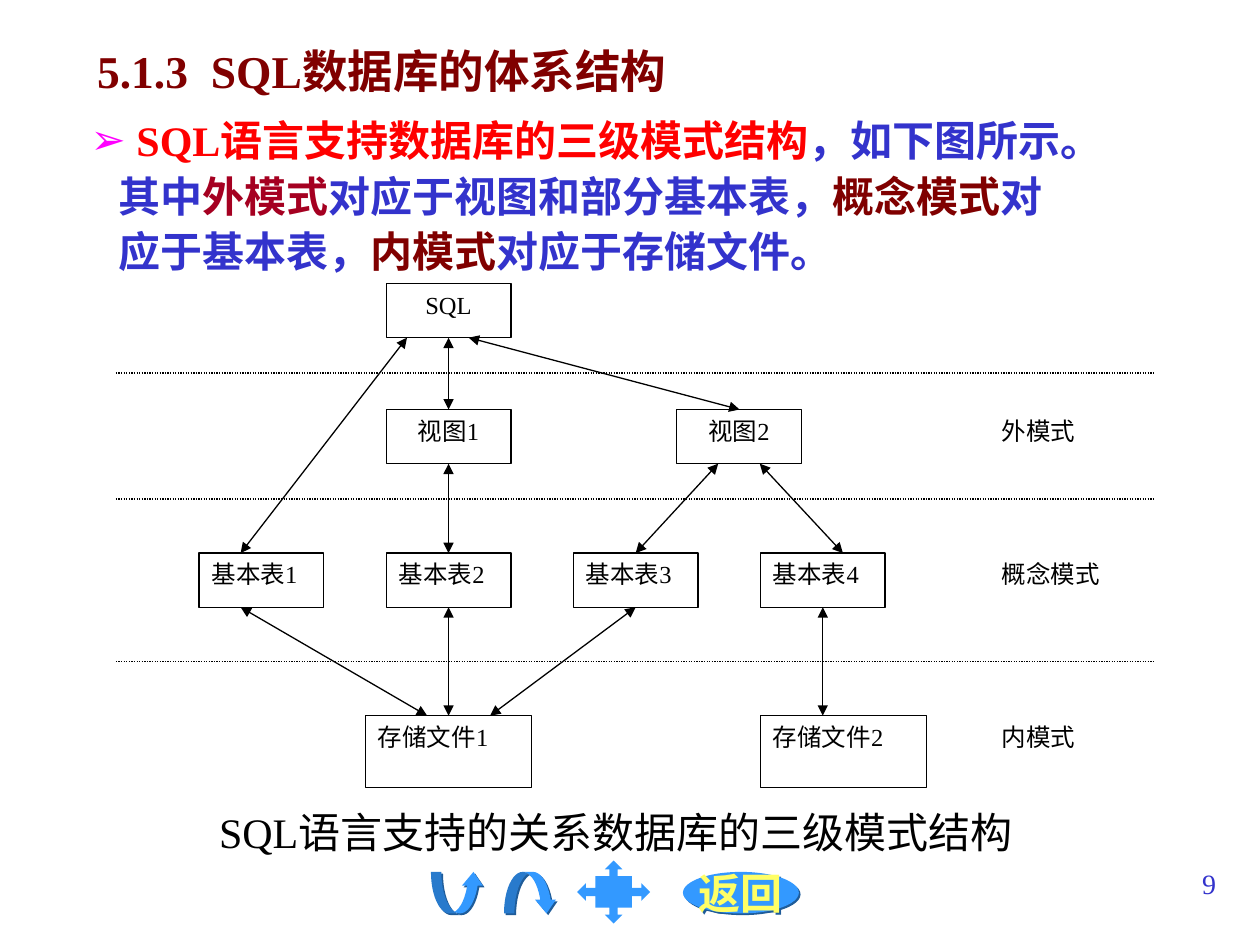
from lxml import etree
from pptx import Presentation
from pptx import util as u
from pptx.dml.color import RGBColor
from pptx.enum import dml, shapes, text
from pptx.oxml.ns import qn

HUES = {
    "ink": "000000", "paper": "FFFFFF", "blue": "3333CC", "red": "FF0000",
    "wine": "A50021", "maroon": "800000", "pink": "FF00FF",
    "sky": "3399FF", "shade": "1F5C99", "lemon": "FFFF66",
}
FONT = "Times New Roman"
KIND = shapes.MSO_SHAPE
ALIGN = text.PP_ALIGN
TOP = text.MSO_ANCHOR.TOP
MID = text.MSO_ANCHOR.MIDDLE


def hue(name):
    return RGBColor.from_string(HUES[name])


def write(frame, runs, size=14, color="ink", bold=False, align=ALIGN.LEFT,
          anchor=TOP, wrap=True, space=1.0):
    frame.auto_size = text.MSO_AUTO_SIZE.NONE
    frame.word_wrap = wrap
    frame.vertical_anchor = anchor
    frame.margin_left = frame.margin_right = u.Inches(0.1)
    frame.margin_top = frame.margin_bottom = u.Inches(0.05)
    para = frame.paragraphs[0]
    para.alignment = align
    para.space_before = u.Pt(0)
    para.line_spacing = space
    for words, tint in [(runs, color)] if isinstance(runs, str) else runs:
        run = para.add_run()
        run.text = words
        run.font.name = FONT
        run.font.size = u.Pt(size)
        run.font.bold = bold
        run.font.color.rgb = hue(tint)
    return para


class Deck:
    def __init__(self):
        self.show = Presentation()
        self.show.slide_width = u.Inches(10)
        self.show.slide_height = u.Inches(7.5)
        self.slide = self.show.slides.add_slide(self.show.slide_layouts[1])

    def place(self, item, x, y, w, h):
        item.left, item.top = u.Inches(x), u.Inches(y)
        item.width, item.height = u.Inches(w), u.Inches(h)

    def title(self, words, area, **form):
        item = self.slide.shapes.title
        self.place(item, *area)
        write(item.text_frame, words, **form)

    def body(self, runs, area, mark, tint, hang, **form):
        item = self.slide.placeholders[1]
        self.place(item, *area)
        props = item.text_frame.paragraphs[0]._p.get_or_add_pPr()
        props.set("marL", str(u.Inches(hang)))
        props.set("indent", str(-u.Inches(hang)))
        color = etree.SubElement(props, qn("a:buClr"))
        etree.SubElement(color, qn("a:srgbClr"), val=HUES[tint])
        etree.SubElement(props, qn("a:buChar"), char=mark)
        write(item.text_frame, runs, **form)

    def label(self, words, area, **form):
        item = self.slide.shapes.add_textbox(*map(u.Inches, area))
        write(item.text_frame, words, **form)

    def shape(self, kind, area, fill, line=None, cast=False, tune=()):
        item = self.slide.shapes.add_shape(kind, *map(u.Inches, area))
        for index, value in enumerate(tune):
            item.adjustments[index] = value
        item.fill.solid()
        item.fill.fore_color.rgb = hue(fill)
        if line:
            item.line.color.rgb = hue(line)
            item.line.width = u.Pt(0.75)
        else:
            item.line.fill.background()
        item.shadow.inherit = False
        if cast:
            effects = item.element.spPr.find(qn("a:effectLst"))
            shadow = etree.SubElement(effects, qn("a:outerShdw"), dist=str(u.Pt(1.4)),
                                      dir="2700000", algn="ctr", rotWithShape="0")
            etree.SubElement(shadow, qn("a:srgbClr"), val=HUES["shade"])
        return item

    def box(self, words, area, **form):
        item = self.shape(KIND.RECTANGLE, area, "paper", "ink")
        write(item.text_frame, words, **form)

    def line(self, start, end, heads=False):
        item = self.slide.shapes.add_connector(
            shapes.MSO_CONNECTOR.STRAIGHT, *map(u.Inches, (*start, *end)))
        item.line.color.rgb = hue("ink")
        item.line.width = u.Pt(0.75)
        props = item.element.spPr
        if heads:
            for tag in ("a:headEnd", "a:tailEnd"):
                etree.SubElement(props.find(qn("a:ln")), qn(tag), type="triangle")
        else:
            item.line.dash_style = dml.MSO_LINE.ROUND_DOT
        etree.SubElement(props, qn("a:effectLst"))


def main():
    deck = Deck()
    deck.title("5.1.3  SQL数据库的体系结构", (0.67, 0.29, 8.5, 0.54),
               size=26, color="maroon", bold=True)
    deck.body([
        (" ", "blue"), ("SQL语言支持数据库的三级模式结构", "red"),
        ("，如下图所示。其中", "blue"), ("外模式", "wine"),
        ("对应于视图和部分基本表，", "blue"), ("概念模式", "maroon"),
        ("对应于基本表，", "blue"), ("内模式", "maroon"),
        ("对应于存储文件。", "blue"),
    ], (0.62, 0.82, 8.08, 1.42), "➢", "pink", 0.22, size=24, bold=True, space=1.1)

    rows = [2.25, 3.25, 4.39, 5.68]
    cols = [1.58 + 1.485 * i for i in range(4)]
    wide, tall = 0.99, 0.43
    mids = [x + wide / 2 for x in cols]
    feet = [y + tall for y in rows]

    for words, x, y in [("SQL", cols[1], rows[0]), ("视图1", cols[1], rows[1]),
                        ("视图2", 5.37, rows[1])]:
        deck.box(words, (x, y, wide, tall), align=ALIGN.CENTER)
    for index, x in enumerate(cols, 1):
        deck.box(f"基本表{index}", (x, rows[2], wide, tall))
    for index, x in enumerate((2.9, cols[3]), 1):
        deck.box(f"存储文件{index}", (x, rows[3], 1.32, 0.57))

    links = [
        (0, 3.23, 2, 1.91), (0, mids[1], 1, mids[1]), (0, 3.72, 1, 5.87),
        (1, mids[1], 2, mids[1]), (1, 5.7, 2, mids[2]), (1, 6.03, 2, 6.69),
        (2, mids[1], 3, mids[1]), (2, 1.91, 3, 3.39), (2, mids[2], 3, 3.89),
        (2, mids[3], 3, mids[3]),
    ]
    for upper, x, lower, end in links:
        deck.line((x, feet[upper]), (end, rows[lower]), heads=True)

    for words, y in zip(("外模式", "概念模式", "内模式"), rows[1:]):
        deck.label(words, (7.85, y, 1.15, 0.57))
    for y in (2.96, 3.96, 5.25):
        deck.line((0.92, y), (9.17, y))

    deck.label("SQL语言支持的关系数据库的三级模式结构", (1.64, 6.35, 6.74, 0.5),
               size=24, wrap=False)

    curve = (0.25, 0.5, 0.33)
    deck.shape(KIND.CURVED_UP_ARROW, (3.42, 6.92, 0.42, 0.33), "sky", cast=True, tune=curve)
    deck.shape(KIND.CURVED_DOWN_ARROW, (4, 6.92, 0.42, 0.33), "sky", cast=True, tune=curve)
    deck.shape(KIND.QUAD_ARROW_CALLOUT, (4.58, 6.83, 0.58, 0.5), "sky",
               tune=(0.13, 0.14, 0.14, 0.5))
    back = deck.shape(KIND.OVAL, (5.42, 6.92, 0.92, 0.33), "sky", cast=True)
    write(back.text_frame, "返回", size=24, color="lemon", bold=True,
          align=ALIGN.CENTER, anchor=MID, wrap=False)
    deck.label("9", (7.67, 6.83, 2.08, 0.5), size=16, color="blue", align=ALIGN.RIGHT)
    deck.show.save("out.pptx")


if __name__ == "__main__":
    main()
